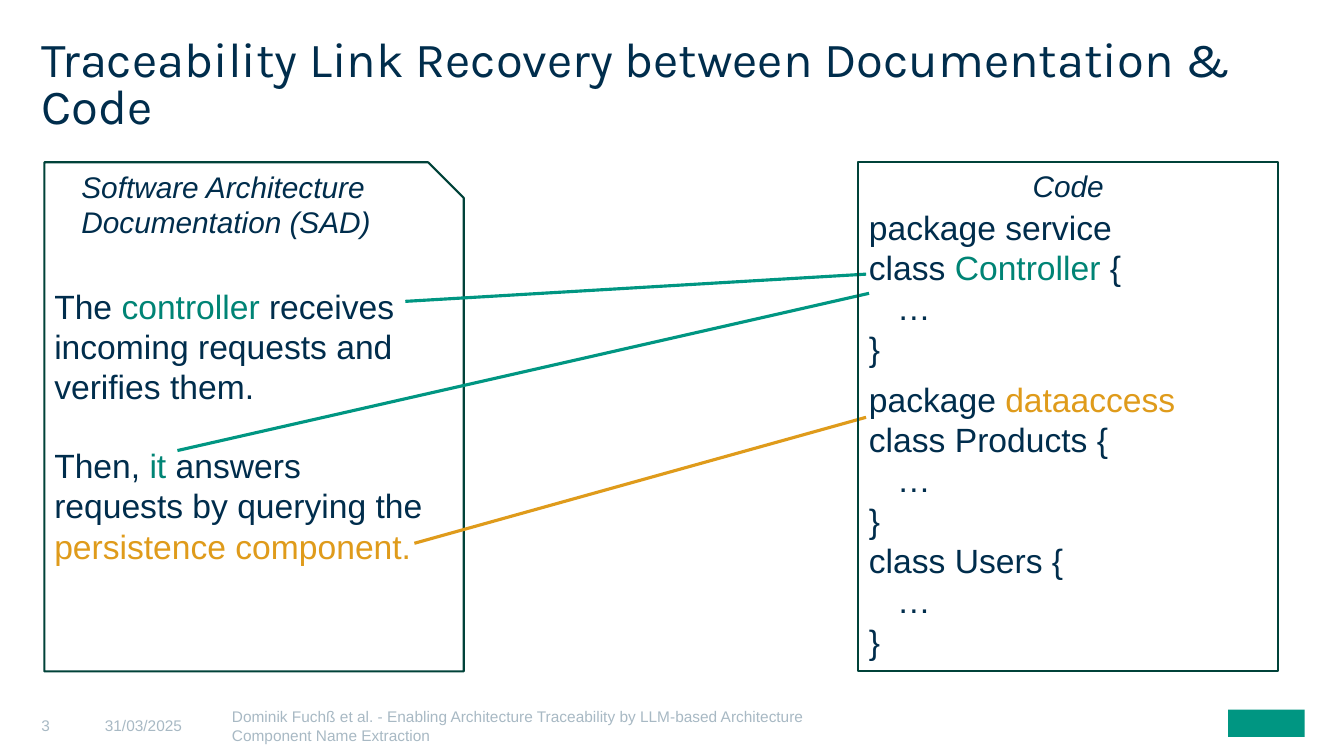
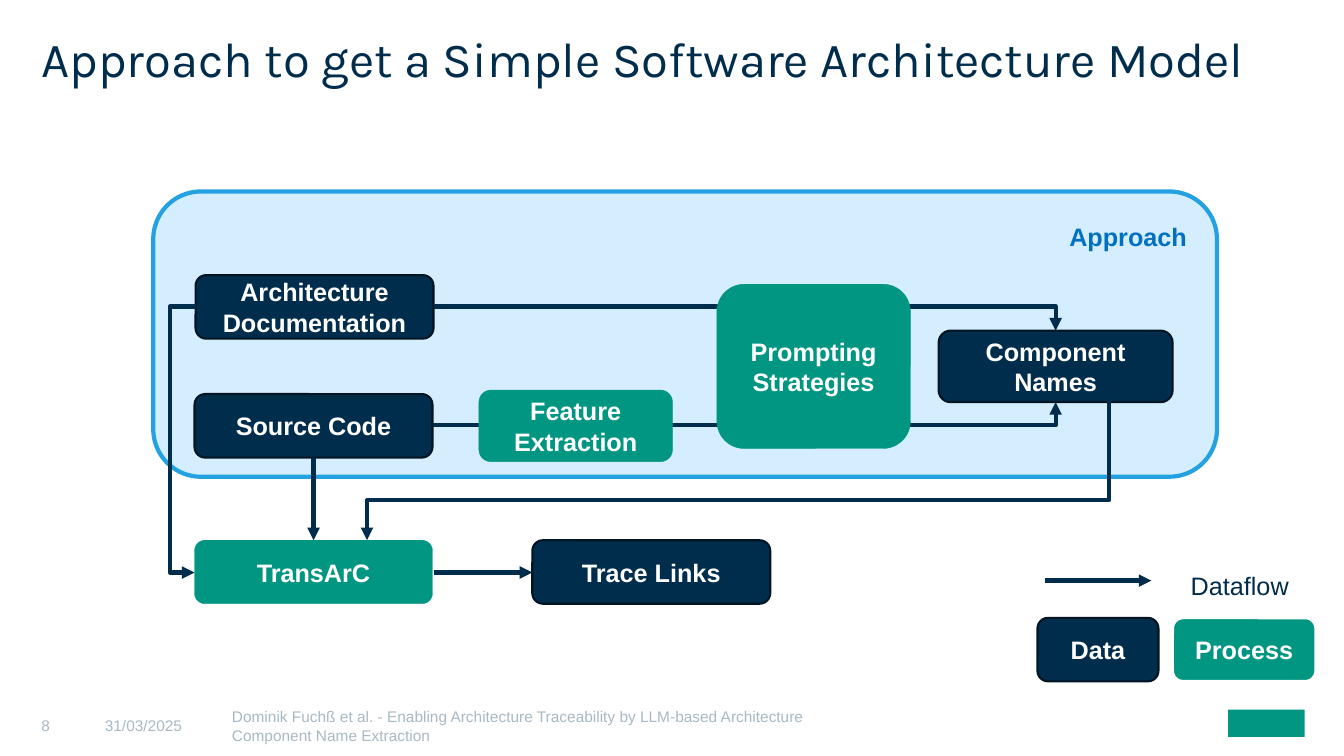
from dataclasses import dataclass

from lxml import etree
from pptx import Presentation
from pptx import util as u
from pptx.dml import color
from pptx.enum import shapes, text
from pptx.oxml import ns

SHAPE = shapes.MSO_SHAPE
CONNECTOR = shapes.MSO_CONNECTOR
ALIGN = text.PP_ALIGN
ANCHOR = text.MSO_ANCHOR


@dataclass(frozen=True)
class Theme:
    navy: str = "002D4C"
    navy_edge: str = "001421"
    teal: str = "009682"
    teal_text: str = "008475"
    frame: str = "004239"
    amber: str = "DF9B1B"
    sky: str = "D4EDFF"
    sky_edge: str = "23A1E0"
    blue: str = "0070C0"
    grey: str = "A8B9C4"
    white: str = "FFFFFF"
    title_font: str = "Karla"
    body_font: str = "Arial"
    title_size: float = 35
    body_size: float = 24
    caption_size: float = 21.3
    label_size: float = 18
    footer_size: float = 11


THEME = Theme()
FOOTER = ("Dominik Fuchß et al. - Enabling Architecture Traceability "
          "by LLM-based Architecture Component Name Extraction")
DATE = "31/03/2025"


def rgb(value):
    return color.RGBColor.from_string(value)


def write(frame, paragraphs, size=THEME.body_size, font=THEME.body_font,
          ink=THEME.navy, bold=False, italic=False, align=ALIGN.LEFT,
          anchor=ANCHOR.TOP, insets=(0.1, 0.05, 0.1, 0.05),
          line_spacing=None, before=None, indents=None):
    frame.word_wrap = True
    frame.vertical_anchor = anchor
    (frame.margin_left, frame.margin_top,
     frame.margin_right, frame.margin_bottom) = map(u.Inches, insets)
    if isinstance(paragraphs, str):
        paragraphs = [paragraphs]
    for index, runs in enumerate(paragraphs):
        paragraph = frame.add_paragraph() if index else frame.paragraphs[0]
        paragraph.alignment = align
        paragraph.line_spacing = line_spacing
        paragraph.space_before = u.Pt((before or {}).get(index, 0))
        if index in (indents or {}):
            paragraph._p.get_or_add_pPr().set("marL", str(u.Inches(indents[index])))
        for content, run_ink in [(runs, ink)] if isinstance(runs, str) else runs:
            run = paragraph.add_run()
            run.text = content
            run.font.size = u.Pt(size)
            run.font.name = font
            run.font.bold = bold
            run.font.italic = italic
            run.font.color.rgb = rgb(run_ink)


class Deck:
    def __init__(self, theme):
        self.theme = theme
        self.presentation = Presentation()
        self.presentation.slide_width = u.Inches(13.33)
        self.presentation.slide_height = u.Inches(7.5)
        self.slide = None

    def new_slide(self, title, number):
        layout = self.presentation.slide_layouts[6]
        self.slide = self.presentation.slides.add_slide(layout)
        self.shape(SHAPE.RECTANGLE, (12.18, 7.04, 0.76, 0.27), fill=self.theme.teal)
        self.text((0.41, 0.4, 12.52, 1.1), title, size=self.theme.title_size,
                  font=self.theme.title_font, insets=(0, 0, 0, 0), line_spacing=0.8)
        for left, width, content in ((0.41, 0.63, number), (1.04, 1.26, DATE),
                                     (2.3, 6.38, FOOTER)):
            self.text((left, 6.86, width, 0.64), content,
                      size=self.theme.footer_size, ink=self.theme.grey,
                      anchor=ANCHOR.MIDDLE, insets=(0, 0.04, 0, 0))

    def text(self, box, paragraphs, **style):
        shape = self.slide.shapes.add_textbox(*map(u.Inches, box))
        write(shape.text_frame, paragraphs, **style)

    def shape(self, kind, box, paragraphs=None, fill=None, line=None,
              weight=1.5, adjust=None, **style):
        shape = self.slide.shapes.add_shape(kind, *map(u.Inches, box))
        shape.shadow.inherit = False
        if fill:
            shape.fill.solid()
            shape.fill.fore_color.rgb = rgb(fill)
        else:
            shape.fill.background()
        if line:
            shape.line.color.rgb = rgb(line)
            shape.line.width = u.Pt(weight)
        else:
            shape.line.fill.background()
        if adjust is not None:
            shape.adjustments[0] = adjust
        if paragraphs:
            write(shape.text_frame, paragraphs, **style)

    def card(self, box, label, fill, line, weight):
        self.shape(SHAPE.ROUNDED_RECTANGLE, box, label, fill=fill, line=line,
                   weight=weight, size=self.theme.label_size, ink=self.theme.white,
                   bold=True, align=ALIGN.CENTER, anchor=ANCHOR.MIDDLE,
                   insets=(0.16,) * 4)

    def data(self, box, label):
        self.card(box, label, self.theme.navy, self.theme.navy_edge, 1.5)

    def process(self, box, label, line=None, weight=0.25):
        self.card(box, label, self.theme.teal, line or self.theme.teal, weight)

    def line(self, begin, end, ink, weight=2.25, kind=CONNECTOR.STRAIGHT):
        connector = self.slide.shapes.add_connector(
            kind, *map(u.Inches, (*begin, *end)))
        connector.line.color.rgb = rgb(ink)
        connector.line.width = u.Pt(weight)
        etree.SubElement(connector.element.spPr, ns.qn("a:effectLst"))
        return connector

    def arrow(self, begin, end, kind=CONNECTOR.STRAIGHT):
        connector = self.line(begin, end, self.theme.navy, 3, kind)
        outline = connector.line._get_or_add_ln()
        etree.SubElement(outline, ns.qn("a:tailEnd"), type="triangle")
        return connector

    def corner_arrow(self, begin, end):
        connector = self.arrow(begin, end, CONNECTOR.ELBOW)
        geometry = connector.element.spPr.find(ns.qn("a:prstGeom"))
        geometry.set("prst", "bentConnector2")

    def elbow_arrow(self, begin, end, bend, vertical=False):
        if vertical:
            middle_x, middle_y = (begin[0] + end[0]) / 2, (begin[1] + end[1]) / 2
            half_x, half_y = (begin[0] - end[0]) / 2, (end[1] - begin[1]) / 2
            begin = (middle_x - half_y, middle_y - half_x)
            end = (middle_x + half_y, middle_y + half_x)
        connector = self.arrow(begin, end, CONNECTOR.ELBOW)
        properties = connector.element.spPr
        if vertical:
            properties.find(ns.qn("a:xfrm")).set("rot", str(90 * 60000))
        geometry = properties.find(ns.qn("a:prstGeom"))
        guides = geometry.find(ns.qn("a:avLst"))
        if guides is None:
            guides = etree.SubElement(geometry, ns.qn("a:avLst"))
        etree.SubElement(guides, ns.qn("a:gd"), name="adj1",
                         fmla=f"val {round(bend * 100000)}")


def build_traceability(deck):
    theme = deck.theme
    deck.new_slide("Traceability Link Recovery between Documentation & Code", "3")
    deck.shape(SHAPE.SNIP_1_RECTANGLE, (0.44, 1.61, 4.16, 5.05), [
        [("The ", theme.navy), ("controller ", theme.teal_text),
         ("receives incoming requests and verifies them.", theme.navy)],
        [("Then, ", theme.navy), ("it ", theme.teal_text),
         ("answers requests by querying the ", theme.navy),
         ("persistence component.", theme.amber)],
    ], line=theme.frame, adjust=0.085, anchor=ANCHOR.MIDDLE, before={1: 27.6})
    deck.text((0.71, 1.62, 3.4, 0.82),
              ["Software Architecture", "Documentation (SAD)"],
              size=theme.caption_size, italic=True)
    for begin, end, ink in (((4.02, 2.99), (8.59, 2.72), theme.teal),
                            ((1.76, 4.47), (8.62, 2.91), theme.teal),
                            ((4.11, 5.39), (8.59, 4.14), theme.amber)):
        deck.line(begin, end, ink)
    deck.shape(SHAPE.RECTANGLE, (8.51, 1.61, 4.17, 5.05), "Code", line=theme.frame,
               size=theme.caption_size, italic=True, align=ALIGN.CENTER)
    class_body = ["…", "}"]
    deck.text((8.52, 2.0, 4.17, 5.07), [
        "package service",
        [("class ", theme.navy), ("Controller", theme.teal_text), (" {", theme.navy)],
        *class_body,
        [("package ", theme.navy), ("dataaccess", theme.amber)],
        "class Products {",
        *class_body,
        "class Users {",
        *class_body,
    ], before={4: 7.7}, indents={2: 0.28, 6: 0.28, 9: 0.28})


def build_approach(deck):
    theme = deck.theme
    deck.new_slide("Approach to get a Simple Software Architecture Model", "8")
    deck.shape(SHAPE.ROUNDED_RECTANGLE, (1.52, 1.9, 10.55, 2.83), "Approach",
               fill=theme.sky, line=theme.sky_edge, weight=3, size=theme.label_size,
               ink=theme.blue, bold=True, align=ALIGN.RIGHT, insets=(0.16,) * 4)
    for box, label in (((1.94, 2.73, 2.36, 0.63), "Architecture Documentation"),
                       ((1.93, 3.91, 2.36, 0.63), "Source Code"),
                       ((9.31, 3.28, 2.32, 0.71), "Component Names"),
                       ((5.28, 5.36, 2.36, 0.63), "Trace Links"),
                       ((10.29, 6.13, 1.2, 0.63), "Data")):
        deck.data(box, label)
    deck.process((11.63, 6.13, 1.42, 0.63), "Process", line=theme.white, weight=2)
    deck.text((11.81, 5.63, 1.2, 0.27), "Dataflow", size=theme.label_size,
              insets=(0, 0, 0, 0), line_spacing=1.1, before={0: 3})
    for begin, end in (((10.36, 5.76), (11.42, 5.76)),
                       ((4.3, 5.68), (5.28, 5.68)),
                       ((3.11, 4.54), (3.11, 5.36))):
        deck.arrow(begin, end)
    deck.corner_arrow((4.3, 3.04), (10.47, 3.28))
    deck.corner_arrow((4.29, 4.22), (10.47, 3.99))
    deck.elbow_arrow((11, 3.83), (3.64, 5.36), bend=0.74, vertical=True)
    deck.elbow_arrow((1.94, 3.04), (1.93, 5.68), bend=26)
    for box, label in (((1.93, 5.36, 2.36, 0.63), "TransArC"),
                       ((4.75, 3.87, 1.92, 0.71), "Feature Extraction"),
                       ((7.11, 2.82, 1.92, 1.63), "Prompting Strategies")):
        deck.process(box, label)


def main():
    deck = Deck(THEME)
    build_traceability(deck)
    build_approach(deck)
    deck.presentation.save("out.pptx")


if __name__ == "__main__":
    main()
